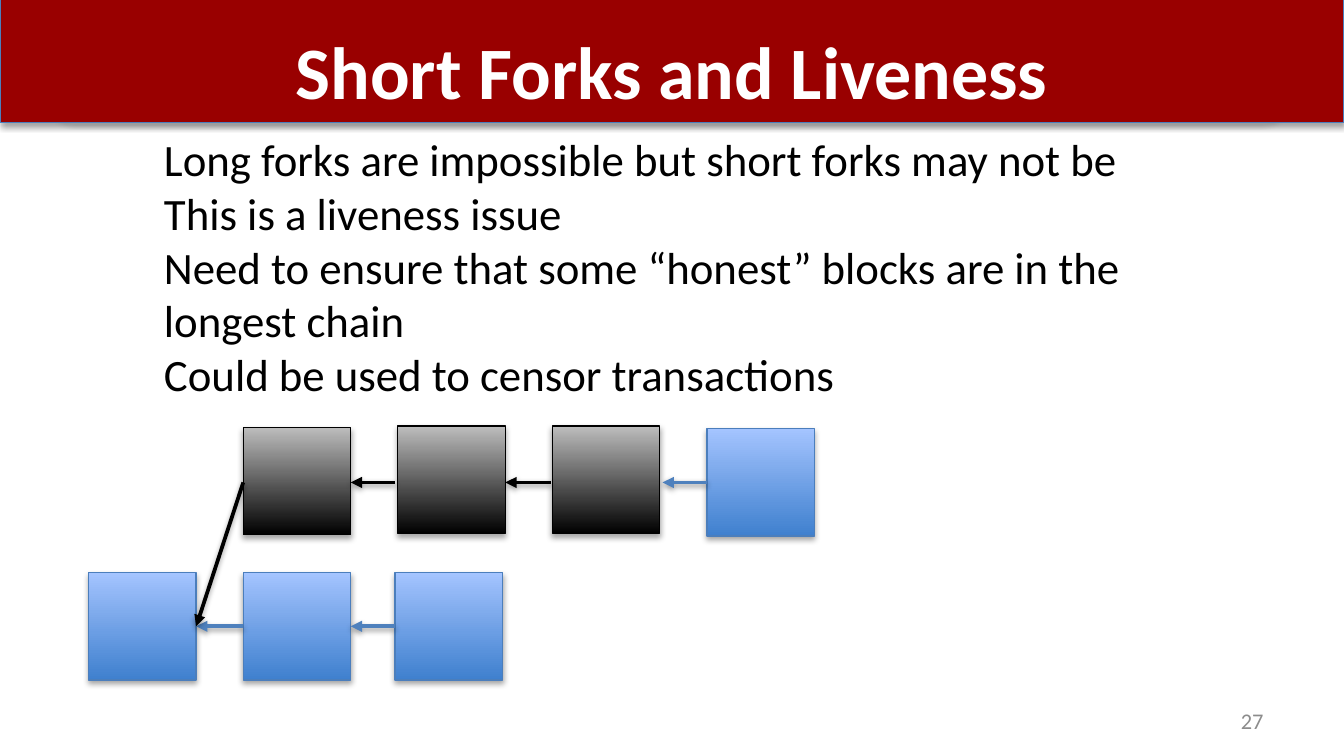
from lxml import etree
from pptx import Presentation
from pptx.dml.color import RGBColor
from pptx.enum.shapes import MSO_CONNECTOR as CONN, MSO_SHAPE as SHAPE
from pptx.enum.text import MSO_ANCHOR as ANCHOR, MSO_AUTO_SIZE as AUTO, PP_ALIGN as ALIGN
from pptx.oxml import parse_xml
from pptx.oxml.ns import nsdecls, qn
from pptx.util import Inches, Pt

C = {"banner": "990000", "edge": "4B7EBC", "frame": "7D60A0", "arrow": "4F81BD",
     "blue_low": "3F80CE", "blue_high": "A4C4FF", "gray_high": "BDBDBD",
     "black": "000000", "white": "FFFFFF", "number": "8C8C8C"}
RGB = {name: RGBColor.from_string(value) for name, value in C.items()}


def write(p, text, size, color, bold=False, align=ALIGN.LEFT):
    p.alignment = align
    p.space_before = Pt(0)
    r = p.add_run()
    r.text = text
    r.font.name, r.font.size, r.font.bold = "Calibri", Pt(size), bold
    r.font.color.rgb = RGB[color]


def outline(shape, color, width, alpha=35, dist=1.8):
    shape.line.color.rgb = RGB[color]
    shape.line.width = Pt(width)
    shape.element.spPr.append(parse_xml(
        f'<a:effectLst {nsdecls("a")}><a:outerShdw blurRad="{Pt(3.1)}" dist="{Pt(dist)}" '
        f'dir="5400000" rotWithShape="0"><a:srgbClr val="{C["black"]}">'
        f'<a:alpha val="{alpha * 1000}"/></a:srgbClr></a:outerShdw></a:effectLst>'))


# 16:9 slide
prs = Presentation()
prs.slide_width, prs.slide_height = Inches(10), Inches(10 * 9 / 16)
s = prs.slides.add_slide(prs.slide_layouts[1])
title, body = s.shapes.title, s.placeholders[1]

# Banner, placed behind the title
frame = s.shapes.add_shape(SHAPE.ROUNDED_RECTANGLE, Inches(0.4), 0, Inches(9.13), Inches(0.89))
frame.fill.background()
outline(frame, "frame", 0.75)
banner = s.shapes.add_shape(SHAPE.RECTANGLE, 0, Inches(-0.01), Inches(10), Inches(0.92))
banner.fill.solid()
banner.fill.fore_color.rgb = RGB["banner"]
outline(banner, "edge", 0.75)
for sp in (frame, banner):
    title.element.addprevious(sp.element)

# Title
title.left, title.top, title.width, title.height = map(Inches, (0.5, 0.14, 9, 0.68))
tf = title.text_frame
tf.auto_size, tf.word_wrap, tf.vertical_anchor = AUTO.NONE, False, ANCHOR.TOP
write(tf.paragraphs[0], "Short Forks and Liveness", 39.6, "white", True, ALIGN.CENTER)

# Statements
body.left, body.top, body.width, body.height = map(Inches, (1.12, 0.93, 7.59, 2.12))
tf = body.text_frame
tf.auto_size, tf.word_wrap = AUTO.NONE, True
statements = ["Long forks are impossible but short forks may not be",
              "This is a liveness issue",
              "Need to ensure that some “honest” blocks are in the longest chain",
              "Could be used to censor transactions"]
for i, text in enumerate(statements):
    p = tf.paragraphs[0] if i == 0 else tf.add_paragraph()
    pPr = p._p.get_or_add_pPr()
    pPr.set("marL", "0")
    pPr.set("indent", "0")
    etree.SubElement(pPr, qn("a:buNone"))
    write(p, text, 24, "black")

# Slide number
box = s.shapes.add_textbox(Inches(7.17), Inches(5.21), Inches(2.33), Inches(0.3))
box.text_frame.word_wrap = True
box.text_frame.vertical_anchor = ANCHOR.MIDDLE
write(box.text_frame.paragraphs[0], "27", 12, "number", align=ALIGN.RIGHT)

# Blocks: honest chain below, fork above
blue = ("blue_low", "blue_high", "edge")
gray = ("black", "gray_high", "black")
blocks = [(0.66, 4.26, blue), (1.81, 4.26, blue), (2.94, 4.26, blue),
          (1.81, 3.18, gray), (2.96, 3.17, gray), (4.11, 3.17, gray), (5.26, 3.19, blue)]
for x, y, (low, high, edge) in blocks:
    block = s.shapes.add_shape(SHAPE.RECTANGLE, Inches(x), Inches(y), Inches(0.8), Inches(0.8))
    block.fill.gradient()
    block.fill.gradient_angle = 90
    for stop, color in zip(block.fill.gradient_stops, (low, high)):
        stop.color.rgb = RGB[color]
    outline(block, edge, 0.75)

# Arrows, each pointing back to the previous block
low_y, fork_y = 4.66, 3.59
arrows = [(1.46, low_y, 1.81, low_y, "arrow"), (2.61, low_y, 2.94, low_y, "arrow"),
          (1.46, low_y, 1.81, fork_y, "black"), (2.61, fork_y, 2.94, fork_y, "black"),
          (3.76, fork_y, 4.1, fork_y, "black"), (4.93, fork_y, 5.26, fork_y, "arrow")]
for *ends, color in arrows:
    arrow = s.shapes.add_connector(CONN.STRAIGHT, *map(Inches, ends))
    outline(arrow, color, 2, alpha=38, dist=1.6)
    etree.SubElement(arrow.element.spPr.find(qn("a:ln")), qn("a:headEnd"), type="triangle")

prs.save("out.pptx")
